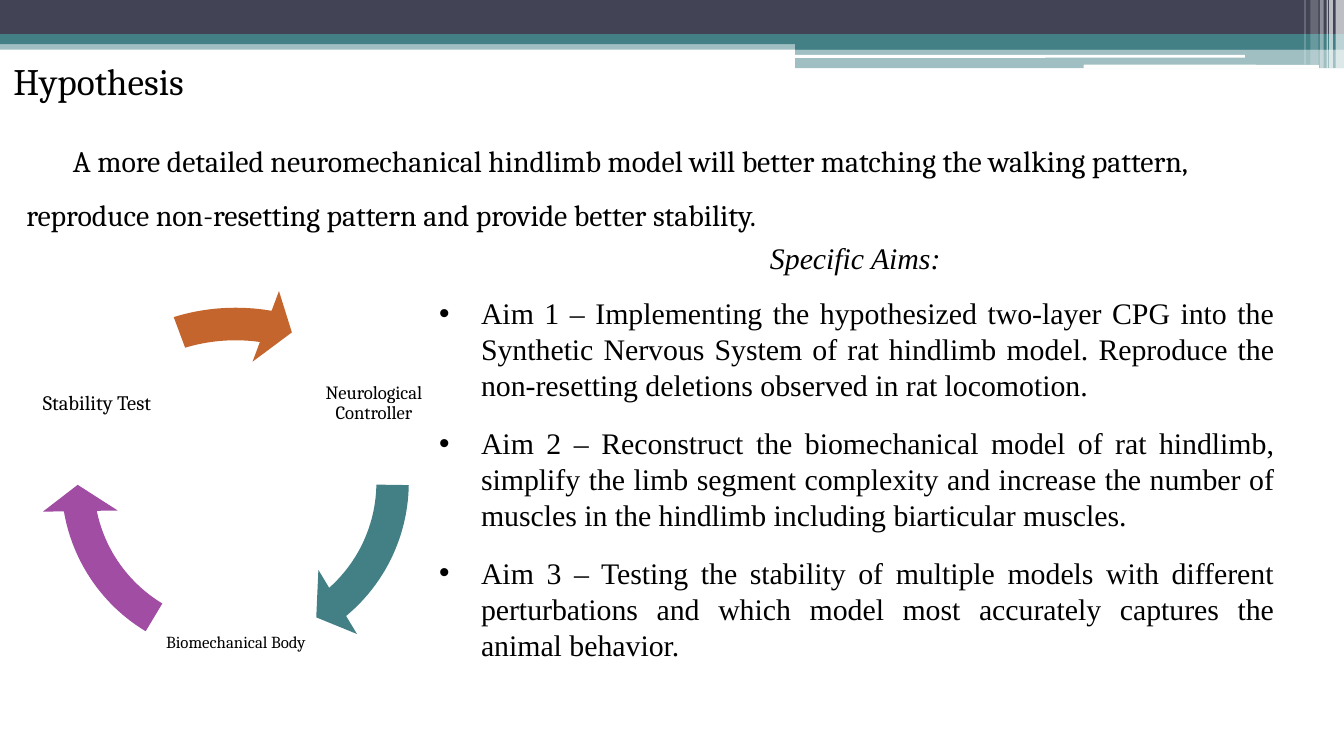
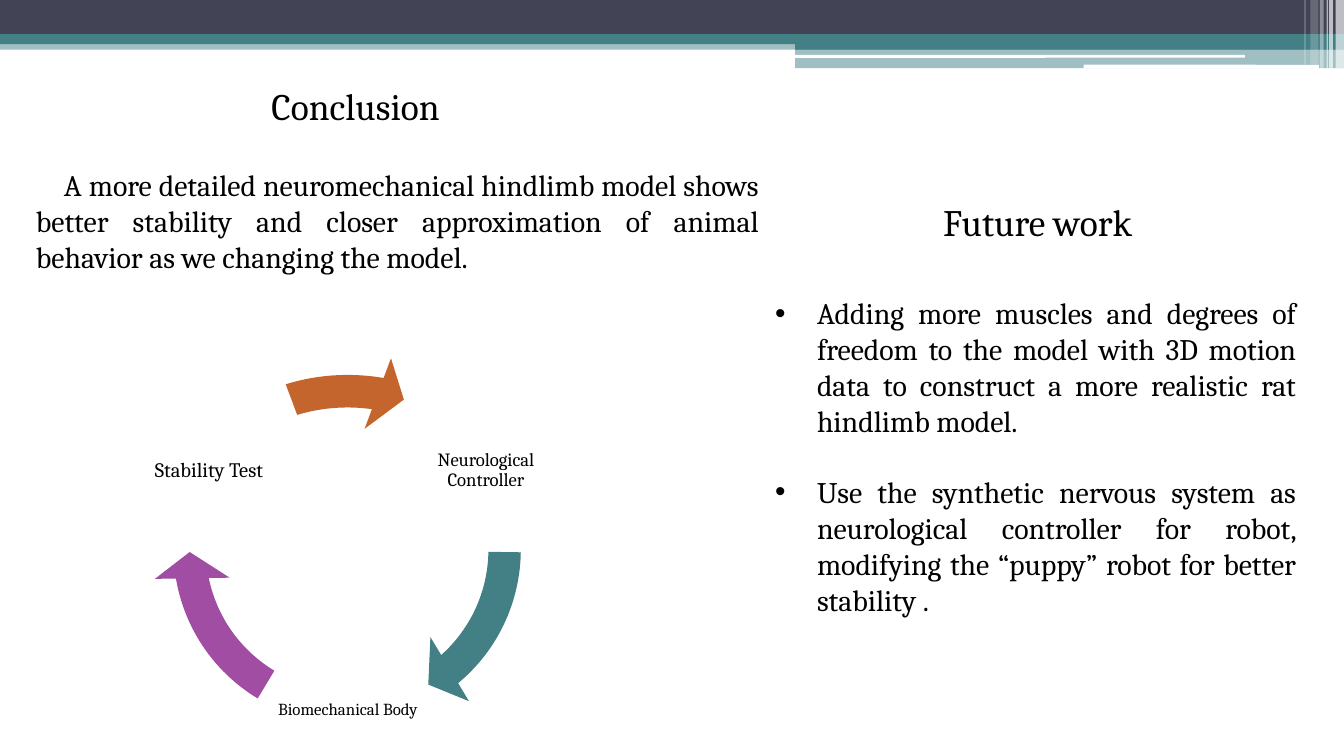
from pptx import Presentation
from pptx.dml.color import RGBColor
from pptx.enum.shapes import MSO_SHAPE
from pptx.enum.text import MSO_ANCHOR, MSO_AUTO_SIZE, PP_ALIGN
from pptx.oxml.ns import qn
from pptx.util import Pt
from lxml.etree import SubElement

NAVY = RGBColor(0x42, 0x44, 0x56)
TEAL = RGBColor(0x43, 0x80, 0x86)
PURPLE = RGBColor(0xA0, 0x4D, 0xA3)
ORANGE = RGBColor(0xC4, 0x65, 0x2D)
WHITE = RGBColor(0xFF, 0xFF, 0xFF)
BLACK = RGBColor(0, 0, 0)

SERIF = "Cambria"
TIMES = "Times New Roman"
HEADING = {"name": SERIF, "size": Pt(20)}
BODY = {"name": SERIF, "size": Pt(16)}
AIMS = {"name": TIMES, "size": Pt(16)}
JUSTIFIED = {"alignment": PP_ALIGN.JUSTIFY}
LABEL = {"alignment": PP_ALIGN.CENTER, "line_spacing": 0.9}

RECT, ROUND = MSO_SHAPE.RECTANGLE, MSO_SHAPE.ROUNDED_RECTANGLE
# shape, left, top, width, height, colour, opacity in percent
BANDS = [
    (RECT, 0, 21.9, 720, 4.7, TEAL, 50),
    (RECT, 0, 0, 720, 18.3, NAVY, 100),
    (RECT, 0, 18.3, 720, 5.4, TEAL, 100),
    (RECT, 426, 21.6, 294, 5, TEAL, 100),
    (RECT, 426, 26, 294, 10.6, TEAL, 50),
    (ROUND, 425.6, 29.4, 241.4, 1.6, WHITE, 100),
    (ROUND, 580.5, 34.7, 126, 2, WHITE, 100),
]
# left, width, height, opacity in percent
STRIPES = [
    (715.5, 4.5, 36.6, 65),
    (712.1, 2, 36.6, 65),
    (710.7, 0.7, 36.6, 60),
    (707.1, 2, 36.6, 40),
    (702, 4.3, 34.6, 20),
    (698.7, 0.7, 34.6, 30),
]
# label, left, top, text size
CYCLE_LABELS = [
    ("Neurological Controller", 156, 171.8, 10),
    ("Biomechanical Body", 82, 300.2, 9),
    ("Stability Test", 7.7, 171.8, 11),
]
LABEL_SIZE = 88.6
# box, colour, end angle, start angle as adjustment values
CYCLE_ARROWS = [
    ((21.6, 154.1, 208.8, 208.8), TEAL, 29.62, 0.53),
    ((21.6, 154.1, 208.8, 208.8), PURPLE, 101.71, 72.61),
    ((12.2, 153.4, 228.2, 210.2), ORANGE, 168.55, 149.68),
]


def apply(target, values):
    for name, value in values.items():
        setattr(target, name, value)


def place(box, left, top, width, height):
    apply(box, {"left": Pt(left), "top": Pt(top),
                "width": Pt(width), "height": Pt(height)})


def add_plain_shape(shapes, kind, bounds, colour, opacity=100):
    shape = shapes.add_shape(kind, *map(Pt, bounds))
    shape.shadow.inherit = False
    shape.fill.solid()
    shape.fill.fore_color.rgb = colour
    shape.line.fill.background()
    if opacity < 100:
        for fill in shape.element.xpath("./p:spPr/a:solidFill/a:srgbClr"):
            SubElement(fill, qn("a:alpha")).set("val", str(opacity * 1000))
    return shape


def add_bands_to_master(deck, page):
    """Draw the header bands on a page, then move them to its master."""
    stripes = [(RECT, left, 0, width, height, WHITE, opacity)
               for left, width, height, opacity in STRIPES]
    for number, (kind, *bounds, colour, opacity) in enumerate(BANDS + stripes):
        shape = add_plain_shape(page.shapes, kind, bounds, colour, opacity)
        shape.element.xpath("./p:nvSpPr/p:cNvPr")[0].set("id", str(100 + number))
        deck.slide_master.shapes.element.append(shape.element)


def write(box, lines, font, layout=None, indent=None, wrap=True):
    """Fill a box; indent is (left margin, first line) in points."""
    frame = box.text_frame
    apply(frame, {"word_wrap": wrap, "vertical_anchor": MSO_ANCHOR.TOP,
                  "auto_size": MSO_AUTO_SIZE.SHAPE_TO_FIT_TEXT})
    for number, line in enumerate(lines):
        para = frame.add_paragraph() if number else frame.paragraphs[0]
        apply(para, {"alignment": PP_ALIGN.LEFT, "space_before": Pt(0),
                     **(layout or {})})
        if indent:
            properties = para._p.get_or_add_pPr()
            for name, value in zip(("marL", "indent"), indent):
                properties.set(name, str(Pt(value)))
        span = para.add_run()
        span.text = line
        apply(span.font, font)
        span.font.color.rgb = BLACK


def add_text(page, bounds, line, font, **options):
    write(page.shapes.add_textbox(*map(Pt, bounds)), [line], font, **options)


def set_title(page, bounds, line):
    place(page.shapes.title, *bounds)
    write(page.shapes.title, [line], HEADING, wrap=False)


def set_bullets(page, bounds, lines, font, gap):
    body = page.placeholders[1]
    place(body, *bounds)
    write(body, lines, font, {**JUSTIFIED, "space_after": Pt(gap)}, (22.5, -22.5))


def add_cycle(page, right=0, down=0):
    """Draw the three-step cycle, moved by the given points."""
    cycle = page.shapes.add_group_shape()
    for line, left, top, size in CYCLE_LABELS:
        box = cycle.shapes.add_textbox(Pt(left + right), Pt(top + down),
                                       Pt(LABEL_SIZE), Pt(LABEL_SIZE))
        write(box, [line], {"name": SERIF, "size": Pt(size)}, LABEL)
        apply(box.text_frame, {
            "auto_size": MSO_AUTO_SIZE.NONE, "vertical_anchor": MSO_ANCHOR.MIDDLE,
            **{f"margin_{side}": Pt(1) for side in ("left", "top", "right", "bottom")}})
    for (left, top, width, height), colour, end, start in CYCLE_ARROWS:
        arrow = add_plain_shape(cycle.shapes, MSO_SHAPE.CIRCULAR_ARROW,
                                (left + right, top + down, width, height), colour)
        # Thickness, head angle, end angle, start angle, head width
        for number, value in enumerate((0.083, 5.765, end, start, 0.096)):
            arrow.adjustments[number] = value


def build_hypothesis(page):
    set_title(page, (0, 27.4, 115.2, 31.5), "Hypothesis")
    add_text(page, (7, 63.4, 696, 62),
             "A more detailed neuromechanical hindlimb model will better matching "
             "the walking pattern, reproduce non-resetting pattern and provide "
             "better stability.",
             BODY, layout={"line_spacing": 1.5}, indent=(0, 25))
    add_cycle(page)
    add_text(page, (405.4, 125, 107.3, 26.6), "Specific Aims:",
             {**AIMS, "italic": True}, wrap=False)
    set_bullets(page, (228, 154.5, 462.2, 206), [
        "Aim 1 – Implementing the hypothesized two-layer CPG into the Synthetic "
        "Nervous System of rat hindlimb model. Reproduce the non-resetting "
        "deletions observed in rat locomotion.",
        "Aim 2 – Reconstruct the biomechanical model of rat hindlimb, simplify "
        "the limb segment complexity and increase the number of muscles in the "
        "hindlimb including biarticular muscles.",
        "Aim 3 – Testing the stability of multiple models with different "
        "perturbations and which model most accurately captures the animal "
        "behavior.",
    ], AIMS, gap=12)


def build_conclusion(page):
    add_cycle(page, right=60, down=36)
    set_title(page, (138.2, 41, 114.5, 31.5), "Conclusion")
    add_text(page, (12.2, 85.7, 401.8, 65.5),
             "A more detailed neuromechanical hindlimb model shows better "
             "stability and closer approximation of animal behavior as we "
             "changing the model.",
             BODY, layout=JUSTIFIED, indent=(0, 15))
    add_text(page, (498.2, 103, 124.6, 31.5), "Future work", HEADING, wrap=False)
    set_bullets(page, (408, 154.5, 293.8, 181.4), [
        "Adding more muscles and degrees of freedom to the model with 3D motion "
        "data to construct a more realistic rat hindlimb model.",
        "Use the synthetic nervous system as neurological controller for robot, "
        "modifying the “puppy” robot for better stability .",
    ], BODY, gap=19)


def main():
    deck = Presentation()
    apply(deck, {"slide_width": Pt(720), "slide_height": Pt(405)})
    title_and_content = deck.slide_layouts[1]
    hypothesis, conclusion = (deck.slides.add_slide(title_and_content)
                              for _ in range(2))
    add_bands_to_master(deck, hypothesis)
    build_hypothesis(hypothesis)
    build_conclusion(conclusion)
    deck.save("out.pptx")


if __name__ == "__main__":
    main()
